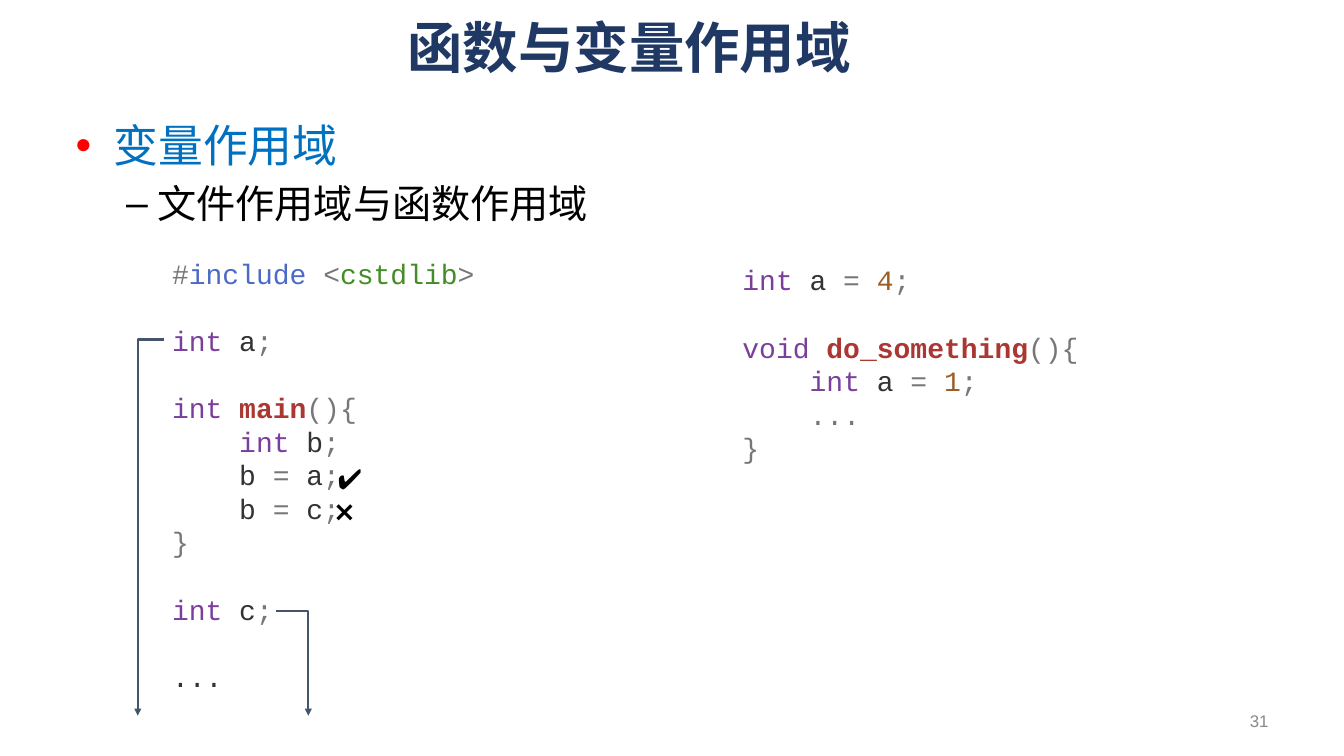
from lxml import etree
from pptx import Presentation
from pptx import util as u
from pptx.dml import color
from pptx.enum import shapes, text
from pptx.oxml import ns

COLORS = {
    "title": "203864", "heading": "0070C0", "body": "000000", "bullet": "FF0000",
    "number": "898989", "arrow": "44546A", "sign": "777777", "directive": "4B69C6",
    "header": "448C27", "name": "333333", "type": "7A3E9D", "function": "AA3731",
    "literal": "9C5D27",
}
CJK_FONT = "Noto Sans CJK SC"
LINE_PITCH = u.Pt(28.8)
CODE_INDENT = u.Inches(0.8)

# Each line: blank lines above, indent level, coloured tokens.
SCOPE_CODE = [
    (0, 0, [("#", "sign"), ("include ", "directive"), ("<", "sign"),
            ("cstdlib", "header"), (">", "sign")]),
    (1, 0, [("int", "type"), (" a", "name"), (";", "sign")]),
    (1, 0, [("int ", "type"), ("main", "function"), ("(){", "sign")]),
    (0, 1, [("int", "type"), (" b", "name"), (";", "sign")]),
    (0, 1, [("b ", "name"), ("=", "sign"), (" a", "name"), (";", "sign")]),
    (0, 1, [("b ", "name"), ("=", "sign"), (" c", "name"), (";", "sign")]),
    (0, 0, [("}", "sign")]),
    (1, 0, [("int", "type"), (" c", "name"), (";", "sign")]),
    (1, 0, [("...", "name")]),
]
SHADOWING_CODE = [
    (0, 0, [("int", "type"), (" a ", "name"), ("= ", "sign"), ("4", "literal"), (";", "sign")]),
    (1, 0, [("void ", "type"), ("do_something", "function"), ("(){", "sign")]),
    (0, 1, [("int", "type"), (" a ", "name"), ("= ", "sign"), ("1", "literal"), (";", "sign")]),
    (0, 1, [("...", "sign")]),
    (0, 0, [("}", "sign")]),
]


def style_font(font, name, size, color_name, bold=None):
    """Set the typeface, size, colour and weight of a font."""
    font.name, font.size, font.bold = name, u.Pt(size), bold
    font.color.rgb = color.RGBColor.from_string(COLORS[color_name])


def place(shape, box):
    """Move a shape to a left, top, width, height box in inches."""
    shape.left, shape.top, shape.width, shape.height = map(u.Inches, box)


def add_text(slide, box, wrap=True):
    """Add an empty text box and return its frame."""
    frame = slide.shapes.add_textbox(*map(u.Inches, box)).text_frame
    frame.word_wrap = wrap
    return frame


def add_label(slide, box, label, name, size, color_name, wrap=True):
    """Add a one-line text box and return its frame."""
    frame = add_text(slide, box, wrap)
    paragraph = frame.paragraphs[0]
    paragraph.text = label
    style_font(paragraph.font, name, size, color_name)
    return frame


def fill_title(slide, box, title):
    """Place and format the slide title."""
    shape = slide.shapes.title
    place(shape, box)
    frame = shape.text_frame
    frame.text = title
    frame.auto_size = text.MSO_AUTO_SIZE.NONE
    frame.vertical_anchor = text.MSO_ANCHOR.MIDDLE
    paragraph = frame.paragraphs[0]
    paragraph.alignment = text.PP_ALIGN.CENTER
    style_font(paragraph.font, "Arial", 47.5, "title", True)


def fill_body(slide, box, items):
    """Place the body and write its two-level list."""
    body = slide.placeholders[1]
    place(body, box)
    frame = body.text_frame
    frame.auto_size = text.MSO_AUTO_SIZE.NONE
    for index, (label, size, color_name, margin, hanging) in enumerate(items):
        paragraph = frame.paragraphs[0] if index == 0 else frame.add_paragraph()
        paragraph.text, paragraph.level = label, index
        style_font(paragraph.font, CJK_FONT, size, color_name)
        properties = paragraph._p.get_or_add_pPr()
        properties.set("marL", str(u.Inches(margin)))
        properties.set("indent", str(-u.Inches(hanging)))
        if index == 0:
            bullet_color = etree.Element(ns.qn("a:buClr"))
            etree.SubElement(bullet_color, ns.qn("a:srgbClr"), val=COLORS["bullet"])
            properties.insert(0, bullet_color)


def add_code(slide, box, lines):
    """Write a syntax-coloured listing."""
    frame = add_text(slide, box)
    for index, (blank_lines, level, tokens) in enumerate(lines):
        paragraph = frame.paragraphs[0] if index == 0 else frame.add_paragraph()
        paragraph.line_spacing = LINE_PITCH
        paragraph.space_before = u.Emu(LINE_PITCH * blank_lines)
        paragraph._p.get_or_add_pPr().set("marL", str(CODE_INDENT * level))
        for token, kind in tokens:
            run = paragraph.add_run()
            run.text = token
            style_font(run.font, "Courier New", 24, kind, kind == "function")


def add_scope_arrow(slide, start, end):
    """Draw an arrow that runs sideways from its start, then down to its end."""
    (left, top), (right, bottom) = start, end
    middle_x, middle_y = (left + right) / 2, (top + bottom) / 2
    half_length, half_depth = (bottom - top) / 2, abs(right - left) / 2
    side = 1 if right < left else -1
    connector = slide.shapes.add_connector(
        shapes.MSO_CONNECTOR.ELBOW,
        u.Inches(middle_x - side * half_length), u.Inches(middle_y - half_depth),
        u.Inches(middle_x + side * half_length), u.Inches(middle_y + half_depth))
    connector.line.width = u.Pt(2)
    connector.line.color.rgb = color.RGBColor.from_string(COLORS["arrow"])
    properties = connector._element.spPr
    properties.find(ns.qn("a:xfrm")).set("rot", str((90 if side == 1 else 270) * 60000))
    adjustments = properties.find(ns.qn("a:prstGeom")).find(ns.qn("a:avLst"))
    etree.SubElement(adjustments, ns.qn("a:gd"), name="adj1", fmla="val 0")
    etree.SubElement(properties.find(ns.qn("a:ln")), ns.qn("a:tailEnd"), type="triangle")
    etree.SubElement(properties, ns.qn("a:effectLst"))


def add_scope_example(slide, left, top):
    """Draw the scope listing with its arrows and marks."""
    add_code(slide, (left, top, 4.16, 5.35), SCOPE_CODE)
    arrow_end = top + 5.52
    add_scope_arrow(slide, (left, top + 1.04), (left - 0.31, arrow_end))
    add_scope_arrow(slide, (left + 1.33, top + 4.27), (left + 1.72, arrow_end))
    for mark, across, down in [("❌", 1.94, 2.84), ("✔️", 1.97, 2.44)]:
        add_label(slide, (left + across, top + down, 0.54, 0.5), mark, "Calibri", 24, "body", False)


def add_slide_number(slide, box, number):
    """Write the slide number at the right of its box."""
    frame = add_label(slide, box, number, "Arial", 14.4, "number")
    frame.vertical_anchor = text.MSO_ANCHOR.MIDDLE
    frame.paragraphs[0].alignment = text.PP_ALIGN.RIGHT


def main():
    """Build and save the slide."""
    presentation = Presentation()
    presentation.slide_width, presentation.slide_height = u.Inches(16), u.Inches(9)
    slide = presentation.slides.add_slide(presentation.slide_layouts[1])
    fill_title(slide, (2.33, 0.09, 10.32, 0.93), "函数与变量作用域")
    fill_body(slide, (0.8, 1.35, 14.4, 6.69), [
        ("变量作用域", 38.4, "heading", 0.45, 0.45),
        ("文件作用域与函数作用域", 33.6, "body", 0.97, 0.37),
    ])
    add_slide_number(slide, (11.47, 8.34, 3.73, 0.48), "31")
    add_scope_example(slide, 1.95, 3)
    add_code(slide, (8.74, 3.08, 4.38, 2.52), SHADOWING_CODE)
    presentation.save("out.pptx")


if __name__ == "__main__":
    main()
